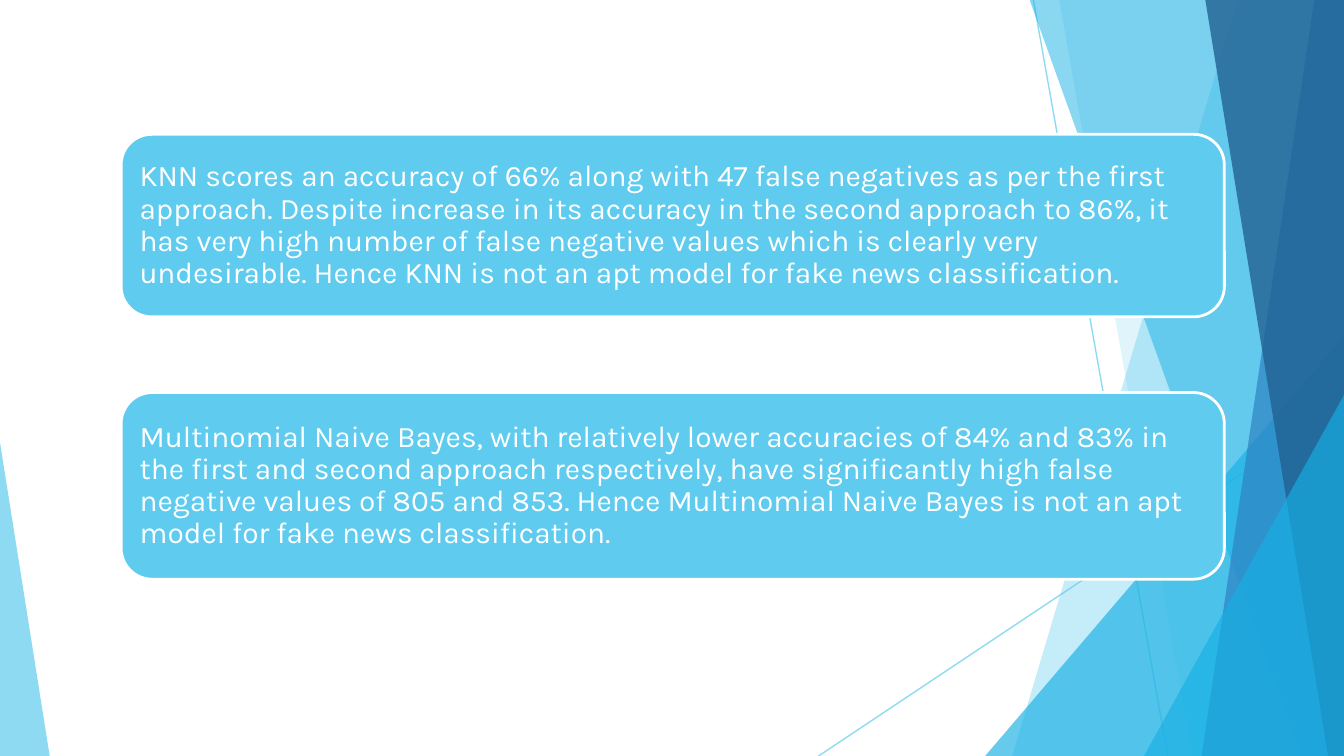
import dataclasses

import lxml.etree
import pptx
import pptx.dml.color
import pptx.enum.shapes
import pptx.enum.text
import pptx.oxml.ns
import pptx.util

Cm = pptx.util.Cm
WIDTH, HEIGHT = 25.4, 14.29


@dataclasses.dataclass(frozen=True)
class Theme:
    sky: str = "5FCBEF"
    cyan: str = "17B0E4"
    blue: str = "2E83C3"
    navy: str = "226292"
    white: str = "FFFFFF"
    font: str = "Karla"
    body_size: int = 16
    hairline: float = 0.75
    border: float = 1.5


class SlideBuilder:
    def __init__(self, slide, theme):
        self.slide = slide
        self.theme = theme

    def paint(self, fill_format, color, opacity=100):
        fill_format.solid()
        fill_format.fore_color.rgb = pptx.dml.color.RGBColor.from_string(color)
        if opacity < 100:
            element = fill_format._xPr.find(".//" + pptx.oxml.ns.qn("a:srgbClr"))
            alpha = lxml.etree.SubElement(element, pptx.oxml.ns.qn("a:alpha"))
            alpha.set("val", str(opacity * 1000))

    def line(self, start_x, start_y, end_x, end_y):
        connector = self.slide.shapes.add_connector(
            pptx.enum.shapes.MSO_CONNECTOR.STRAIGHT,
            Cm(start_x), Cm(start_y), Cm(end_x), Cm(end_y))
        connector.line.width = pptx.util.Pt(self.theme.hairline)
        self.paint(connector.line.fill, self.theme.sky, 70)
        lxml.etree.SubElement(
            connector._element.spPr, pptx.oxml.ns.qn("a:effectLst"))

    def finish_decoration(self, shape, color, opacity):
        shape.shadow.inherit = False
        self.paint(shape.fill, color, opacity)
        shape.line.fill.background()

    def band(self, top_x, bottom_x, color, opacity):
        builder = self.slide.shapes.build_freeform(Cm(top_x), 0)
        builder.add_line_segments([
            (Cm(WIDTH), 0), (Cm(WIDTH), Cm(HEIGHT)), (Cm(bottom_x), Cm(HEIGHT))])
        self.finish_decoration(builder.convert_to_shape(), color, opacity)

    def triangle(self, left, top, width, apex, color, opacity):
        shape = self.slide.shapes.add_shape(
            pptx.enum.shapes.MSO_SHAPE.ISOSCELES_TRIANGLE,
            Cm(left), Cm(top), Cm(width), Cm(HEIGHT - top))
        shape.adjustments[0] = apex
        self.finish_decoration(shape, color, opacity)

    def card(self, top, height, text):
        shape = self.slide.shapes.add_shape(
            pptx.enum.shapes.MSO_SHAPE.ROUNDED_RECTANGLE,
            Cm(2.29), Cm(top), Cm(20.85), Cm(height))
        shape.shadow.inherit = False
        self.paint(shape.fill, self.theme.sky)
        shape.line.width = pptx.util.Pt(self.theme.border)
        self.paint(shape.line.fill, self.theme.white)
        frame = shape.text_frame
        frame.word_wrap = True
        frame.vertical_anchor = pptx.enum.text.MSO_ANCHOR.MIDDLE
        frame.margin_left = frame.margin_right = Cm(0.18)
        frame.margin_top = frame.margin_bottom = Cm(0.18)
        frame.text = text
        paragraph = frame.paragraphs[0]
        paragraph.alignment = pptx.enum.text.PP_ALIGN.LEFT
        paragraph.line_spacing = 0.9
        font = paragraph.runs[0].font
        font.name = self.theme.font
        font.size = pptx.util.Pt(self.theme.body_size)
        self.paint(font.fill, self.theme.white)


def main():
    presentation = pptx.Presentation()
    presentation.slide_width = Cm(WIDTH)
    presentation.slide_height = Cm(HEIGHT)
    theme = Theme()
    slide = presentation.slides.add_slide(presentation.slide_layouts[6])
    builder = SlideBuilder(slide, theme)

    builder.line(19.53, 0, 22.07, HEIGHT)
    builder.line(WIDTH, 7.67, 15.47, HEIGHT)
    builder.band(23.39, 19.13, theme.sky, 36)
    builder.band(20.02, 22.53, theme.sky, 20)
    builder.triangle(18.62, 6.35, 6.78, 1, theme.cyan, 66)
    builder.band(19.46, 24.59, theme.cyan, 50)
    builder.band(24.84, 22.71, theme.blue, 70)
    builder.band(22.78, 25.1, theme.navy, 80)
    builder.triangle(21.62, 7.47, 3.78, 1, theme.cyan, 66)
    builder.triangle(0, 8.36, 0.94, 0, theme.sky, 70)

    builder.card(2.54, 3.45, (
        "KNN scores an accuracy of 66% along with 47 false negatives as per "
        "the first approach. Despite increase in its accuracy in the second "
        "approach to 86%, it has very high number of false negative values "
        "which is clearly very undesirable. Hence KNN is not an apt model for "
        "fake news classification."))
    builder.card(7.42, 3.53, (
        "Multinomial Naive Bayes, with relatively lower accuracies of 84% and "
        "83% in the first and second approach respectively, have significantly "
        "high false negative values of 805 and 853. Hence Multinomial Naive "
        "Bayes is not an apt model for fake news classification."))

    presentation.save("out.pptx")


if __name__ == "__main__":
    main()
